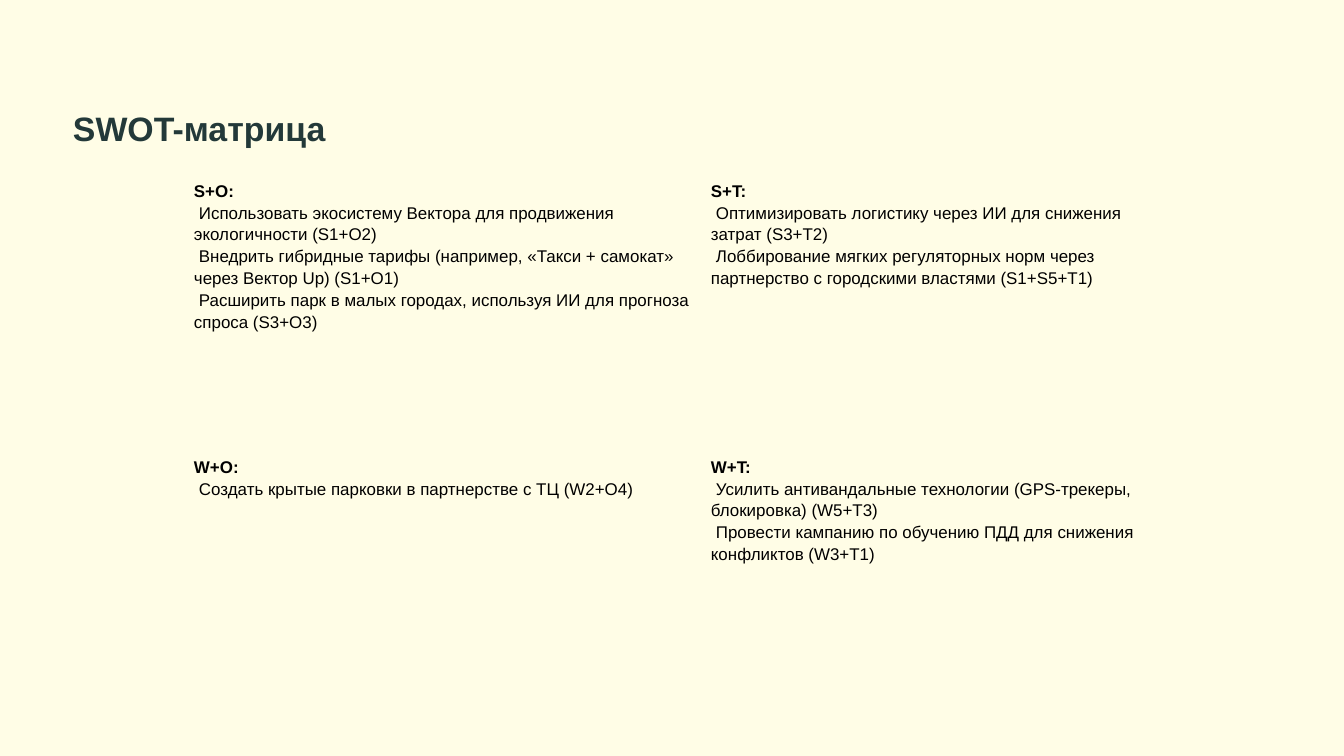
from dataclasses import dataclass

from pptx import Presentation
from pptx import util as u
from pptx.dml.color import RGBColor
from pptx.enum import text

PX = 914400 // 84  # EMU in one px
NO_STYLE_NO_GRID = "{2D5ABB26-0587-4C30-8999-92F81FD0307C}"


@dataclass(frozen=True)
class Theme:
    font: str = "Arial"
    background: RGBColor = RGBColor(0xFF, 0xFD, 0xE6)
    title: RGBColor = RGBColor(0x23, 0x39, 0x39)
    body: RGBColor = RGBColor(0, 0, 0)
    title_size: float = 29
    body_size: float = 14.5


@dataclass(frozen=True)
class Strategy:
    row: int
    col: int
    heading: str
    actions: tuple[str, ...]


THEME = Theme()
COLUMNS = (517, 443)
ROWS = (276, 218)
STRATEGIES = (
    Strategy(0, 0, "S+O:", (
        "Использовать экосистему Вектора для продвижения экологичности (S1+O2)",
        "Внедрить гибридные тарифы (например, «Такси + самокат» через Вектор Up) (S1+O1)",
        "Расширить парк в малых городах, используя ИИ для прогноза спроса (S3+O3)",
    )),
    Strategy(0, 1, "S+T:", (
        "Оптимизировать логистику через ИИ для снижения затрат (S3+T2)",
        "Лоббирование мягких регуляторных норм через партнерство с городскими властями (S1+S5+T1)",
    )),
    Strategy(1, 0, "W+O:", (
        "Создать крытые парковки в партнерстве с ТЦ (W2+O4)",
    )),
    Strategy(1, 1, "W+T:", (
        "Усилить антивандальные технологии (GPS-трекеры, блокировка) (W5+T3)",
        "Провести кампанию по обучению ПДД для снижения конфликтов (W3+T1)",
    )),
)


def px(length: int) -> u.Emu:
    return u.Emu(length * PX)


def format_runs(p, size: float, color: RGBColor, bold: bool) -> None:
    for r in p.runs:
        r.font.name = THEME.font
        r.font.size = u.Pt(size)
        r.font.bold = bold
        r.font.color.rgb = color


def set_margins(box, margin: int) -> None:
    box.margin_left = box.margin_right = px(margin)
    box.margin_top = box.margin_bottom = px(margin)


def draw_title(s, title: str) -> None:
    sp = s.shapes.title
    sp.left, sp.top, sp.width, sp.height = px(73), px(98), px(568), px(42)
    tf = sp.text_frame
    tf.text = title
    tf.word_wrap = True
    tf.auto_size = text.MSO_AUTO_SIZE.NONE
    tf.vertical_anchor = text.MSO_ANCHOR.TOP
    set_margins(tf, 0)
    p = tf.paragraphs[0]
    p.alignment = text.PP_ALIGN.LEFT
    p.line_spacing = 1.24
    format_runs(p, THEME.title_size, THEME.title, bold=True)


def draw_strategy(cell, strategy: Strategy) -> None:
    cell.fill.background()
    set_margins(cell, 8)
    tf = cell.text_frame
    tf.text = "\n".join((strategy.heading, *strategy.actions))
    for i, p in enumerate(tf.paragraphs):
        p.line_spacing = 1.15
        if i > 0:  # actions start slightly in from the heading
            p._p.get_or_add_pPr().set("indent", str(px(5)))
        format_runs(p, THEME.body_size, THEME.body, bold=i == 0)


def draw_matrix(s) -> None:
    frame = s.shapes.add_table(len(ROWS), len(COLUMNS), px(186), px(171),
                               px(sum(COLUMNS)), px(sum(ROWS)))
    table = frame.table
    table.first_row = table.horz_banding = False
    table._tbl.tblPr[0].text = NO_STYLE_NO_GRID
    for column, width in zip(table.columns, COLUMNS):
        column.width = px(width)
    for row, height in zip(table.rows, ROWS):
        row.height = px(height)
    for strategy in STRATEGIES:
        draw_strategy(table.cell(strategy.row, strategy.col), strategy)


def main() -> None:
    prs = Presentation()
    prs.slide_width, prs.slide_height = u.Inches(16), u.Inches(9)
    s = prs.slides.add_slide(prs.slide_layouts[5])

    # Background
    fill = s.background.fill
    fill.solid()
    fill.fore_color.rgb = THEME.background

    # Heading and SWOT matrix
    draw_title(s, "SWOT-матрица")
    draw_matrix(s)

    prs.save("out.pptx")


if __name__ == "__main__":
    main()
